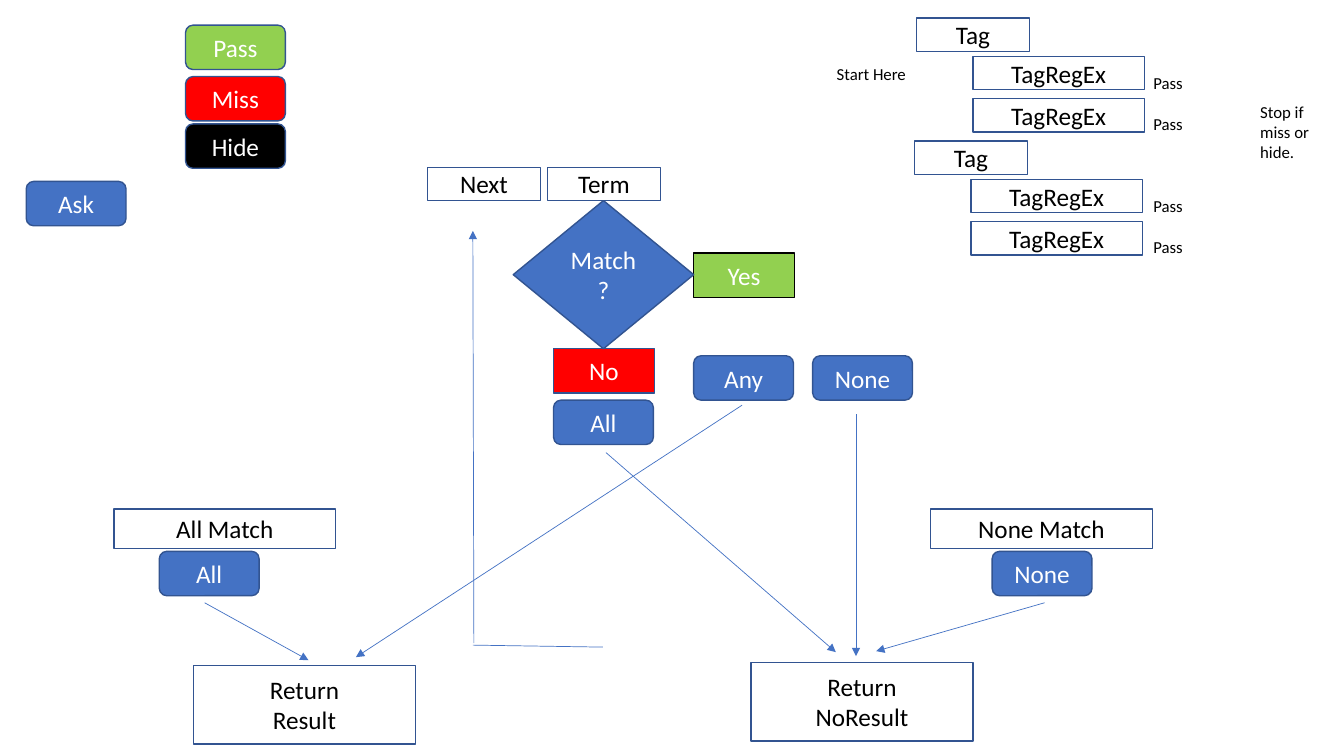
import lxml.etree
import pptx
import pptx.util
import pptx.dml.color
import pptx.enum.shapes
import pptx.enum.text
import pptx.oxml.ns

Inches = pptx.util.Inches
Pt = pptx.util.Pt
KIND = pptx.enum.shapes.MSO_SHAPE
ALIGN = pptx.enum.text.PP_ALIGN
qn = pptx.oxml.ns.qn

COLORS = {
    "blue": "4472C4", "edge": "325491", "green": "92D050",
    "red": "FF0000", "black": "000000", "white": "FFFFFF",
}

# Rounded buttons: text, left, top, fill
BUTTONS = [
    ("Any", 6.88, 3.53, "blue"),
    ("All", 5.49, 3.97, "blue"),
    ("None", 8.06, 3.53, "blue"),
    ("Ask", 0.26, 1.8, "blue"),
    ("Pass", 1.84, 0.25, "green"),
    ("Miss", 1.84, 0.76, "red"),
    ("Hide", 1.84, 1.23, "black"),
    ("All", 1.58, 5.47, "blue"),
    ("None", 9.84, 5.47, "blue"),
]
BUTTON = (0.99, 0.44)

# Match answers: text, left, top, fill, line
ANSWERS = [
    ("Yes", 6.88, 2.51, "green", "black"),
    ("No", 5.49, 3.46, "red", "edge"),
]
ANSWER = (1, 0.44)

# White boxes: text, left, top, size
TAG = (1.12, 0.33)
REGEX = (1.7, 0.33)
CASE = (2.2, 0.39)
RESULT = (2.2, 0.78)
BOXES = [
    ("Term", 5.43, 1.66, TAG),
    ("Next", 4.24, 1.66, TAG),
    ("All Match", 1.13, 5.05, CASE),
    ("None Match", 9.23, 5.05, CASE),
    ("Return\nNoResult", 7.45, 6.57, RESULT),
    ("Return\nResult", 1.92, 6.6, RESULT),
]

# Tag groups: left, top of each; then the rows inside a group
GROUPS = [(9.09, 0.18), (9.07, 1.4)]
INDENT = 0.56
ROWS = [(0.38, 0.49), (0.8, 0.9)]  # TagRegEx drop, Pass drop
PASS_LEFT = 11.34

# Notes: text, left, top, width, height
NOTES = [
    ("Start Here", 8.2, 0.58, 0.94, 0.3),
    ("Stop if miss or hide.", 12.4, 0.96, 0.94, 0.71),
]

# Lines: start, end, arrowhead
LINES = [
    ((5.98, 6.42), (4.69, 6.4), False),
    ((4.7, 6.38), (4.69, 2.29), True),
    ((6.01, 4.49), (8.29, 6.47), True),
    ((8.49, 4.11), (8.49, 6.51), True),
    ((7.36, 4.02), (3.53, 6.52), True),
    ((2.03, 5.98), (3.06, 6.55), True),
    ((10.36, 5.98), (8.69, 6.46), True),
]

deck = pptx.Presentation()
deck.slide_width, deck.slide_height = Inches(13.33), Inches(7.5)
slide = deck.slides.add_slide(deck.slide_layouts[6])


def tint(name):
    return pptx.dml.color.RGBColor.from_string(COLORS[name])


def write(frame, text, *, size=18, color="black", align=ALIGN.CENTER):
    frame.word_wrap = True
    frame.text = text
    for para in frame.paragraphs:
        para.alignment = align
        font = para.runs[0].font
        font.name, font.size = "Calibri", Pt(size)
        font.color.rgb = tint(color)


def block(text, left, top, size, kind=KIND.RECTANGLE,
          fill="white", edge="edge"):
    shape = slide.shapes.add_shape(kind, *map(Inches, (left, top, *size)))
    shape.shadow.inherit = False
    shape.fill.solid()
    shape.fill.fore_color.rgb = tint(fill)
    shape.line.color.rgb = tint(edge)
    shape.line.width = Pt(1)
    write(shape.text_frame, text,
          color="black" if fill == "white" else "white")


def note(text, *place):
    box = slide.shapes.add_textbox(*map(Inches, place))
    write(box.text_frame, text, size=12, align=ALIGN.LEFT)


def link(start, end, head):
    line = slide.shapes.add_connector(
        pptx.enum.shapes.MSO_CONNECTOR.STRAIGHT,
        *map(Inches, (*start, *end)))
    line.line.color.rgb = tint("blue")
    line.line.width = Pt(0.5)
    props = line.element.find(qn("p:spPr"))
    if head:
        lxml.etree.SubElement(props.find(qn("a:ln")), qn("a:tailEnd"),
                              type="triangle")
    lxml.etree.SubElement(props, qn("a:effectLst"))


# Buttons, answers and decision
for text, left, top, fill in BUTTONS:
    block(text, left, top, BUTTON, KIND.ROUNDED_RECTANGLE, fill)
for text, left, top, fill, edge in ANSWERS:
    block(text, left, top, ANSWER, fill=fill, edge=edge)
block("Match?", 5.09, 1.99, (1.79, 1.47), KIND.FLOWCHART_DECISION, "blue")

# White boxes
for box in BOXES:
    block(*box)

# Tag groups with their pass marks
for left, top in GROUPS:
    block("Tag", left, top, TAG)
    for drop, mark in ROWS:
        block("TagRegEx", left + INDENT, top + drop, REGEX)
        note("Pass", PASS_LEFT, top + mark, 0.54, 0.3)

# Notes and lines
for item in NOTES:
    note(*item)
for item in LINES:
    link(*item)

deck.save("out.pptx")
